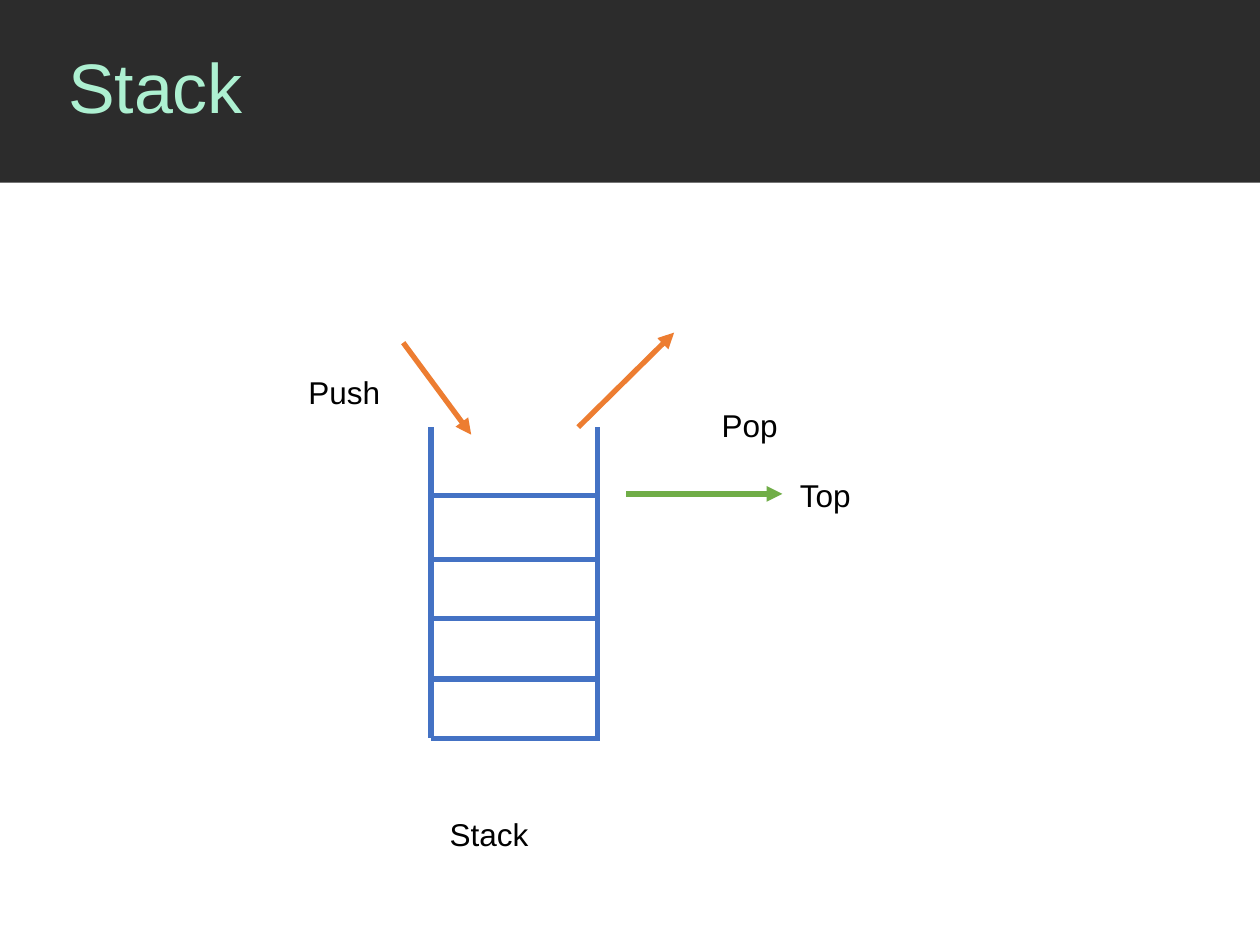
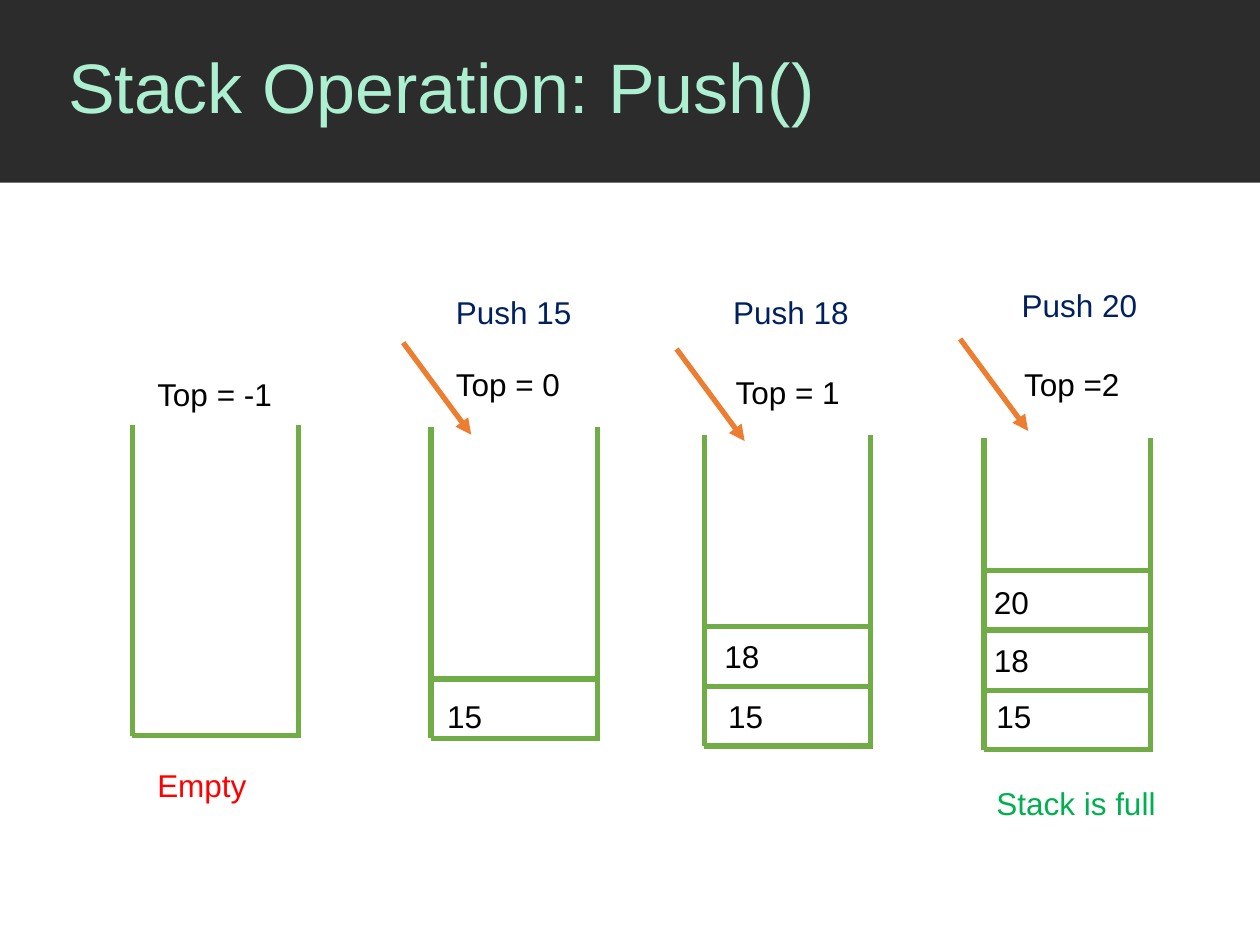
"""Build two slides that explain a stack and its push operation."""
from dataclasses import dataclass
from typing import NamedTuple

from lxml import etree
from pptx import Presentation
from pptx import util as u
from pptx.dml.color import RGBColor
from pptx.enum import shapes, text
from pptx.oxml.ns import qn

WHITE = RGBColor(0xFF, 0xFF, 0xFF)
BLACK = RGBColor(0x00, 0x00, 0x00)
CHARCOAL = RGBColor(0x2C, 0x2C, 0x2C)
MINT = RGBColor(0xAD, 0xF0, 0xD1)
BLUE = RGBColor(0x44, 0x72, 0xC4)
ORANGE = RGBColor(0xED, 0x7D, 0x31)
GREEN = RGBColor(0x70, 0xAD, 0x47)
NAVY = RGBColor(0x00, 0x20, 0x60)
RED = RGBColor(0xFF, 0x00, 0x00)
EMERALD = RGBColor(0x00, 0xB0, 0x50)

SLIDE_WIDTH, SLIDE_HEIGHT = u.Inches(10), u.Inches(7.5)
COLUMNS = 100
CELL = SLIDE_WIDTH / COLUMNS
BAND_ROWS = 14.5
TITLE_COLUMN, TITLE_ROWS = 4.4, 14.4
LABEL_ROWS = 4
STACK_COLUMNS, STACK_ROWS, BASE_OVERHANG = 13.2, 24.7, 0.2
LEVEL_HEIGHTS = (4.7, 9.5, 14.2, 19.3)
PUSH_COLUMNS, PUSH_ROWS = 5.4, 7.3


class Point(NamedTuple):
    column: float
    row: float


class Line(NamedTuple):
    start: Point
    end: Point
    color: RGBColor
    arrow: bool = False


class Label(NamedTuple):
    words: str
    column: float
    row: float
    color: RGBColor = BLACK
    columns: float = 11.4


@dataclass(frozen=True)
class Stack:
    corner: Point
    levels: int
    color: RGBColor = GREEN
    push_start: Point | None = None


@dataclass(frozen=True)
class StackSlide:
    title: str
    stacks: tuple[Stack, ...]
    labels: tuple[Label, ...]
    arrows: tuple[Line, ...] = ()


SLIDES = (
    StackSlide(
        "Stack",
        (Stack(Point(34.2, 33.9), 4, BLUE, Point(32, 27.2)),),
        (
            Label("Stack", 34.7, 64.2, columns=13),
            Label("Push", 23.5, 29.1, columns=13),
            Label("Top", 62.5, 37.3, columns=13),
            Label("Pop", 56.3, 31.7, columns=13),
        ),
        (
            Line(Point(45.9, 33.9), Point(53.5, 26.4), ORANGE, True),
            Line(Point(49.7, 39.2), Point(62.1, 39.2), GREEN, True),
        ),
    ),
    StackSlide(
        "Stack Operation: Push()",
        (
            Stack(Point(10.5, 33.7), 0),
            Stack(Point(34.2, 33.9), 1, push_start=Point(32, 27.2)),
            Stack(Point(55.9, 34.5), 2, push_start=Point(53.7, 27.7)),
            Stack(Point(78.1, 34.8), 3, push_start=Point(76.2, 26.9)),
        ),
        (
            Label("Top = -1", 11.5, 29.3),
            Label("Empty", 11.5, 60.3, RED),
            Label("Push 15", 35.2, 22.8, NAVY),
            Label("Top = 0", 35.2, 28.5),
            Label("15", 34.5, 54.8),
            Label("Push 18", 57.2, 22.8, NAVY),
            Label("Top = 1", 57.4, 29.1),
            Label("18", 56.5, 50.1),
            Label("15", 56.8, 54.8),
            Label("Push 20", 80.1, 22.2, NAVY),
            Label("Top =2", 80.3, 28.5),
            Label("20", 77.9, 45.8),
            Label("18", 77.9, 50.4),
            Label("15", 78.1, 54.8),
            Label("Stack is full", 78.1, 61.7, EMERALD, 16),
        ),
    ),
)


def cells(count: float) -> u.Emu:
    """Turn a count of grid cells into a length."""
    return u.Emu(round(count * CELL))


def write_text(frame, words: str, *, size: float = 18, color: RGBColor = BLACK,
               spacing: float = 1.0, anchor=text.MSO_ANCHOR.TOP,
               fit=text.MSO_AUTO_SIZE.SHAPE_TO_FIT_TEXT) -> None:
    """Fill a text frame with one formatted paragraph."""
    frame.word_wrap = True
    frame.auto_size = fit
    frame.vertical_anchor = anchor
    paragraph = frame.paragraphs[0]
    paragraph.alignment = text.PP_ALIGN.LEFT
    paragraph.line_spacing = spacing
    run = paragraph.add_run()
    run.text = words
    run.font.name = "Arial"
    run.font.size = u.Pt(size)
    run.font.color.rgb = color


def draw_line(slide, line: Line) -> None:
    """Draw a straight line, with an arrowhead if asked."""
    ends = (cells(length) for length in (*line.start, *line.end))
    connector = slide.shapes.add_connector(shapes.MSO_CONNECTOR.STRAIGHT, *ends)
    connector.line.color.rgb = line.color
    connector.line.width = u.Pt(3)
    properties = connector.element.spPr
    if line.arrow:
        outline = properties.find(qn("a:ln"))
        etree.SubElement(outline, qn("a:tailEnd"), type="triangle")
    etree.SubElement(properties, qn("a:effectLst"))


def draw_label(slide, label: Label) -> None:
    """Place a text label on the grid."""
    box = slide.shapes.add_textbox(cells(label.column), cells(label.row),
                                   cells(label.columns), cells(LABEL_ROWS))
    write_text(box.text_frame, label.words, color=label.color)


def draw_stack(slide, stack: Stack) -> None:
    """Draw the walls, base and levels of a stack, and its push arrow."""
    left, top = stack.corner
    bottom = top + STACK_ROWS
    right = left + STACK_COLUMNS
    for wall in (left, right):
        draw_line(slide, Line(Point(wall, top), Point(wall, bottom), stack.color))
    for height in (0, *LEVEL_HEIGHTS[:stack.levels]):
        row = bottom - height
        draw_line(slide, Line(Point(left, row), Point(right + BASE_OVERHANG, row), stack.color))
    if stack.push_start:
        column, row = stack.push_start
        tip = Point(column + PUSH_COLUMNS, row + PUSH_ROWS)
        draw_line(slide, Line(stack.push_start, tip, ORANGE, True))


def add_layout_band(slide, layout) -> None:
    """Draw the title band and move it to the back of the shared layout."""
    band = slide.shapes.add_shape(shapes.MSO_SHAPE.RECTANGLE, 0, 0,
                                  SLIDE_WIDTH, cells(BAND_ROWS))
    band.shadow.inherit = False
    band.fill.solid()
    band.fill.fore_color.rgb = CHARCOAL
    band.line.fill.background()
    layout.element.cSld.spTree.insert(2, band.element)


def draw_title(slide, words: str) -> None:
    """Move and format the title placeholder."""
    title = slide.shapes.title
    title.left, title.top = cells(TITLE_COLUMN), 0
    title.width, title.height = cells(COLUMNS - TITLE_COLUMN), cells(TITLE_ROWS)
    write_text(title.text_frame, words, size=40, color=MINT, spacing=0.9,
               anchor=text.MSO_ANCHOR.MIDDLE, fit=text.MSO_AUTO_SIZE.NONE)


def main() -> None:
    """Build and save the presentation."""
    presentation = Presentation()
    presentation.slide_width, presentation.slide_height = SLIDE_WIDTH, SLIDE_HEIGHT
    background = presentation.slide_master.background.fill
    background.solid()
    background.fore_color.rgb = WHITE
    layout = presentation.slide_layouts.get_by_name("Title Only")
    for number, content in enumerate(SLIDES):
        slide = presentation.slides.add_slide(layout)
        if number == 0:
            add_layout_band(slide, layout)
        draw_title(slide, content.title)
        for stack in content.stacks:
            draw_stack(slide, stack)
        for arrow in content.arrows:
            draw_line(slide, arrow)
        for label in content.labels:
            draw_label(slide, label)
    presentation.save("out.pptx")


if __name__ == "__main__":
    main()
